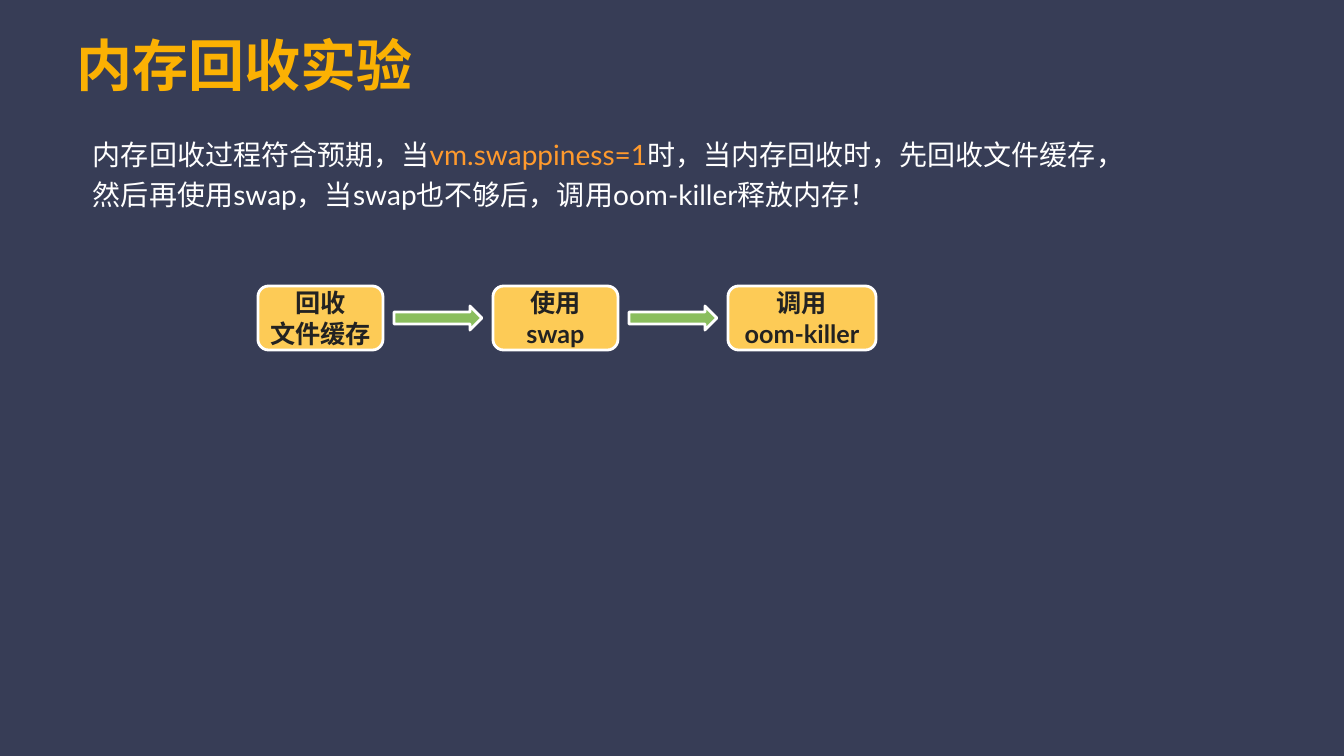
from pptx import Presentation
from pptx.dml.color import RGBColor
from pptx.enum.shapes import MSO_SHAPE as Preset
from pptx.enum.text import MSO_ANCHOR as Anchor, PP_ALIGN as Align
from pptx.util import Pt

EMU_PER_PX = 914400 / 100.8
NAVY = RGBColor(0x37, 0x3D, 0x56)
GOLD = RGBColor(0xFB, 0xB1, 0x03)
YELLOW = RGBColor(0xFD, 0xCB, 0x56)
ORANGE = RGBColor(0xFF, 0x9A, 0x2D)
GREEN = RGBColor(0x8A, 0xBE, 0x5E)
WHITE = RGBColor(0xFF, 0xFF, 0xFF)
DARK = RGBColor(0x22, 0x22, 0x22)

STEPS = [(125, ["回收", "文件缓存"]), (125, ["使用swap"]), (148, ["调用", "oom-killer"])]


def px(length):
    """Turn pixels into EMU."""
    return round(length * EMU_PER_PX)


def setup_frame(shape, inset):
    """Set wrapping, middle anchor and equal insets, and return the frame."""
    frame = shape.text_frame
    frame.word_wrap = True
    frame.vertical_anchor = Anchor.MIDDLE
    frame.margin_left = frame.margin_right = px(inset)
    frame.margin_top = frame.margin_bottom = px(inset)
    return frame


def add_run(paragraph, text, size, color, bold=False):
    """Add one run of text."""
    run = paragraph.add_run()
    run.text = text
    run.font.name = "Lato"
    run.font.size = Pt(size)
    run.font.bold = bold
    run.font.color.rgb = color


def add_text(slide, box, runs, size, bold=False, spacing=1.0):
    """Add a one-paragraph text box made of coloured runs."""
    shape = slide.shapes.add_textbox(*map(px, box))
    paragraph = setup_frame(shape, 8).paragraphs[0]
    paragraph.line_spacing = spacing
    for text, color in runs:
        add_run(paragraph, text, size, color, bold)


def add_block(slide, preset, box, fill):
    """Add a filled shape with a white outline."""
    shape = slide.shapes.add_shape(preset, *map(px, box))
    shape.shadow.inherit = False
    shape.fill.solid()
    shape.fill.fore_color.rgb = fill
    shape.line.color.rgb = WHITE
    shape.line.width = Pt(2)
    return shape


def add_flow(slide, left, top, height, gap):
    """Add the steps in a row with an arrow centred in each gap."""
    arrow_width, arrow_height = 88, 24
    for index, (width, lines) in enumerate(STEPS):
        if index:
            arrow_left = left - (gap + arrow_width) // 2
            arrow_top = top + (height - arrow_height) // 2
            add_block(slide, Preset.RIGHT_ARROW,
                      (arrow_left, arrow_top, arrow_width, arrow_height), GREEN)
        step = add_block(slide, Preset.ROUNDED_RECTANGLE, (left, top, width, height), YELLOW)
        frame = setup_frame(step, 6)
        for number, line in enumerate(lines):
            paragraph = frame.add_paragraph() if number else frame.paragraphs[0]
            paragraph.alignment = Align.CENTER
            add_run(paragraph, line, 18, DARK, bold=True)
        left += width + gap


def main():
    """Build and save the slide."""
    presentation = Presentation()
    presentation.slide_width, presentation.slide_height = px(1344), px(756)
    slide = presentation.slides.add_slide(presentation.slide_layouts[6])
    slide.background.fill.solid()
    slide.background.fill.fore_color.rgb = NAVY
    add_text(slide, (69, 22, 1173, 85), [("内存回收实验", GOLD)], 40, bold=True)
    add_text(slide, (85, 101, 1061, 140), [
        ("内存回收过程符合预期，当", WHITE),
        ("vm.swappiness=1", ORANGE),
        ("时，当内存回收时，先回收文件缓存，然后再使用swap，当swap也不够后，调用oom-killer释放内存！", WHITE),
    ], 20, spacing=1.2)
    add_flow(slide, 258, 286, 64, 110)
    presentation.save("out.pptx")


if __name__ == "__main__":
    main()
